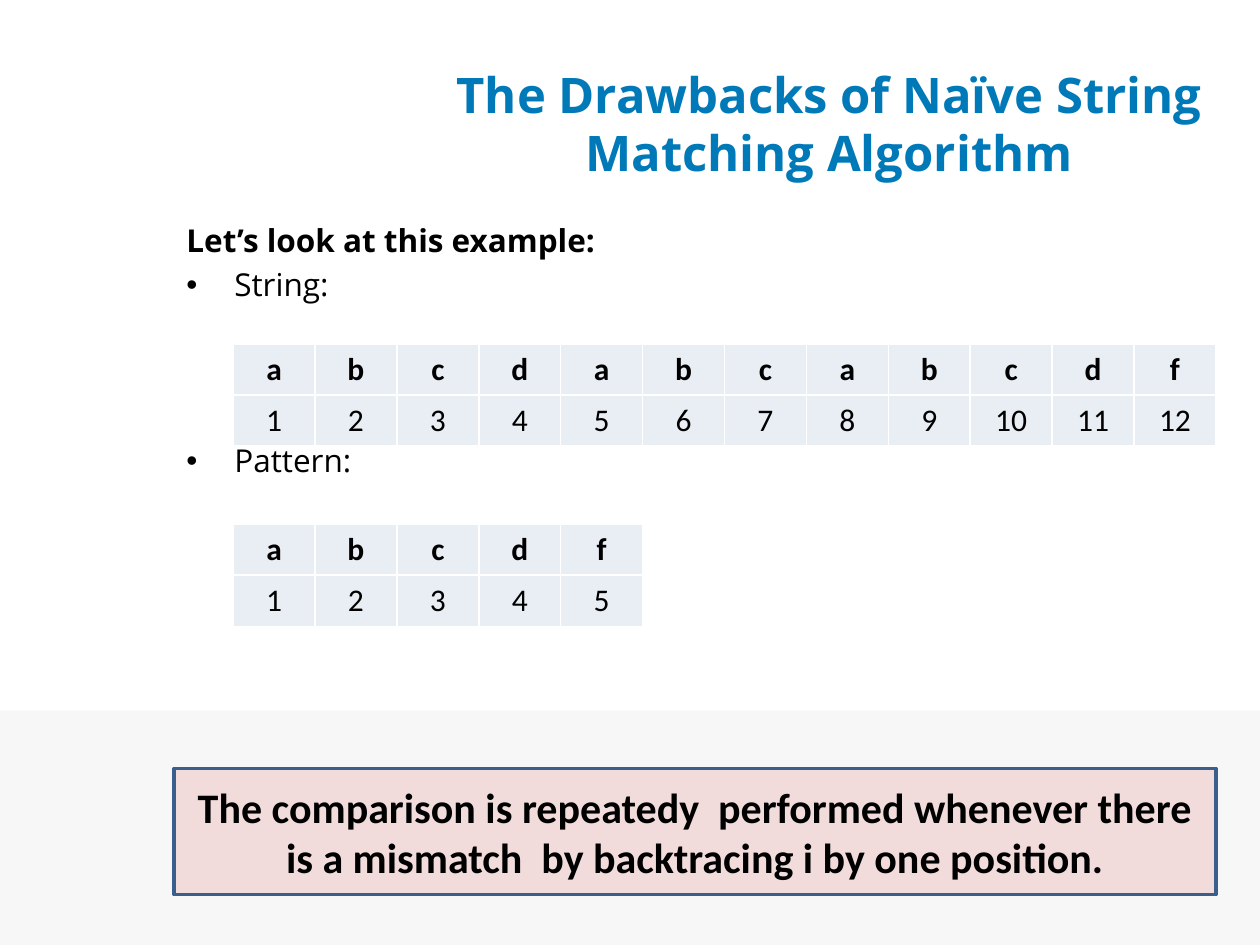
import pptx
import pptx.dml.color
import pptx.enum.shapes
import pptx.enum.text
import pptx.oxml.ns
import pptx.util
from lxml import etree

Inches, Pt = pptx.util.Inches, pptx.util.Pt
CENTER = pptx.enum.text.PP_ALIGN.CENTER
MIDDLE = pptx.enum.text.MSO_ANCHOR.MIDDLE

COLORS = {"title": "0079B8", "text": "000000", "band": "F7F7F7",
          "cell": "E9EDF4", "note": "F2DCDB", "note_line": "3A5F8C"}
TITLE = "The Drawbacks of Naïve String Matching Algorithm"
BODY = [  # text, bulleted, space before in points
    ("Let’s look at this example:", False, 0),
    ("String:", True, 4),
    ("Pattern:", True, 79),
]
TABLES = [("abcdabcabcdf", 2.73), ("abcdf", 4.16)]
NOTE = ("The comparison is repeatedy  performed whenever there "
        "is a mismatch  by backtracing i by one position.")
CELL_W, CELL_H, TABLE_LEFT = 0.65, 0.405, 1.85


def rgb(name):
    """Return the named colour."""
    return pptx.dml.color.RGBColor.from_string(COLORS[name])


def style(p, size, font, bold, color="text", align=None):
    """Set the font and alignment of a paragraph."""
    p.font.size, p.font.name, p.font.bold = Pt(size), font, bold
    p.font.color.rgb = rgb(color)
    p.alignment = align


def place(sp, left, top, width, height):
    """Move and size a shape."""
    sp.left, sp.top = Inches(left), Inches(top)
    sp.width, sp.height = Inches(width), Inches(height)


def add_box(s, left, top, width, height, fill):
    """Add a plain filled rectangle."""
    sp = s.shapes.add_shape(pptx.enum.shapes.MSO_SHAPE.RECTANGLE, Inches(left),
                            Inches(top), Inches(width), Inches(height))
    sp.shadow.inherit = False
    sp.fill.solid()
    sp.fill.fore_color.rgb = rgb(fill)
    sp.line.fill.background()
    return sp


def set_bullet(p, bulleted):
    """Give a paragraph a hanging bullet or none."""
    ppr = p._p.get_or_add_pPr()
    indent = Inches(0.38) if bulleted else 0
    ppr.set("marL", str(indent))
    ppr.set("indent", str(-indent))
    tag = "a:buChar" if bulleted else "a:buNone"
    bullet = etree.Element(pptx.oxml.ns.qn(tag))
    if bulleted:
        bullet.set("char", "•")
    ppr.insert_element_before(bullet, "a:tabLst", "a:defRPr", "a:extLst")


def add_indexed_table(s, letters, top):
    """Add a table of letters above their positions."""
    n = len(letters)
    table = s.shapes.add_table(2, n, Inches(TABLE_LEFT), Inches(top),
                               Inches(n * CELL_W), Inches(2 * CELL_H)).table
    table.first_row = table.horz_banding = False
    for col in table.columns:
        col.width = Inches(CELL_W)
    for r, values in enumerate([letters, range(1, n + 1)]):
        for c, value in enumerate(values):
            cell = table.cell(r, c)
            cell.text = str(value)
            cell.fill.solid()
            cell.fill.fore_color.rgb = rgb("cell")
            style(cell.text_frame.paragraphs[0], 18, "Calibri", r == 0, align=CENTER)


def main():
    """Build the slide."""
    prs = pptx.Presentation()
    prs.slide_width, prs.slide_height = Inches(10), Inches(7.5)
    s = prs.slides.add_slide(prs.slide_layouts[1])
    title, body = s.placeholders

    band = add_box(s, 0, 5.64, 10, 1.86, "band")
    s.shapes._spTree.insert(2, band._element)

    place(title, 3.35, 0.35, 6.46, 1.25)
    title.text_frame.text = TITLE
    title.text_frame.vertical_anchor = MIDDLE
    style(title.text_frame.paragraphs[0], 28, "Open Sans", True, "title", CENTER)

    place(body, 1.38, 1.7, 8.36, 5.59)
    tf = body.text_frame
    tf.auto_size = pptx.enum.text.MSO_AUTO_SIZE.NONE
    tf.text = "\n".join(text for text, _, _ in BODY)
    for p, (_, bulleted, space) in zip(tf.paragraphs, BODY):
        style(p, 18, "Open Sans", not bulleted)
        p.space_before = Pt(space)
        set_bullet(p, bulleted)

    for letters, top in TABLES:
        add_indexed_table(s, letters, top)

    note = add_box(s, 1.38, 6.1, 8.27, 1, "note")
    note.line.color.rgb = rgb("note_line")
    note.line.width = Pt(2)
    note.text_frame.word_wrap = True
    note.text_frame.vertical_anchor = MIDDLE
    note.text_frame.text = NOTE
    style(note.text_frame.paragraphs[0], 24, "Calibri", True, align=CENTER)

    prs.save("out.pptx")


if __name__ == "__main__":
    main()
